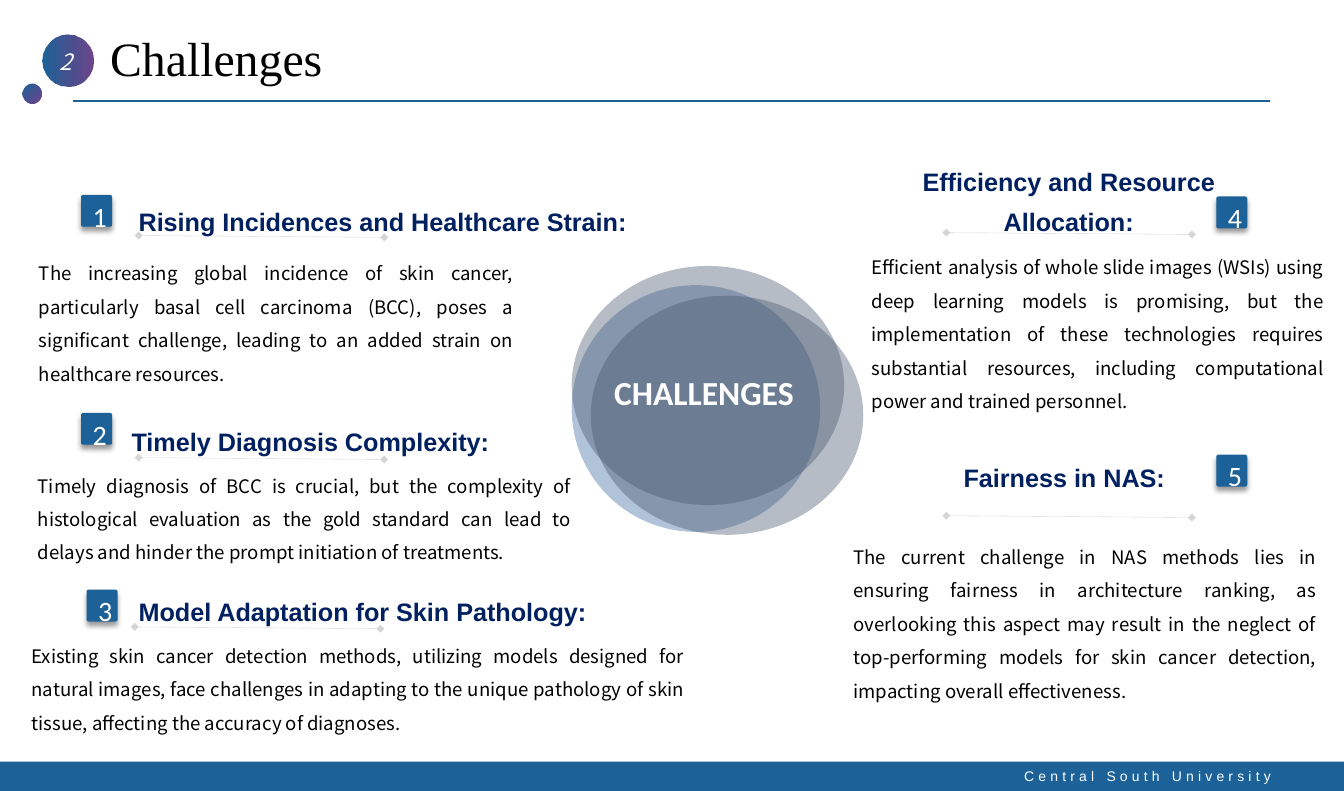
from lxml import etree
from pptx import Presentation
from pptx.dml.color import RGBColor
from pptx.enum.shapes import MSO_CONNECTOR, MSO_SHAPE
from pptx.enum.text import MSO_ANCHOR, PP_ALIGN
from pptx.oxml.ns import qn
from pptx.util import Pt

OVAL, RECT, ROUND = MSO_SHAPE.OVAL, MSO_SHAPE.RECTANGLE, MSO_SHAPE.ROUNDED_RECTANGLE
STRAIGHT = MSO_CONNECTOR.STRAIGHT
TOP, MID, LOW = MSO_ANCHOR.TOP, MSO_ANCHOR.MIDDLE, MSO_ANCHOR.BOTTOM
LEFT, MIDST, RIGHT, FULL = PP_ALIGN.LEFT, PP_ALIGN.CENTER, PP_ALIGN.RIGHT, PP_ALIGN.JUSTIFY

WIDTH, HEIGHT = 1012.32, 595.44
COLORS = {"blue": "1C6299", "plum": "5C307D", "navy": "002060", "steel": "35669B",
          "slate": "44546A", "grey": "808080", "black": "000000", "white": "FFFFFF"}
SANS, HEAD, DIGIT, SERIF = "Noto Sans CJK SC", "Arial", "Calibri", "Times New Roman"
BADGE = (22.4, 23)
RULE = (185, 1.4)

# number, badge spot, heading box, heading lines, heading align, rule spot, body box, body
TOPICS = [
    ("1", (61.6, 147.2), (96.5, 145.2, 386.6, 64), ["Rising Incidences and Healthcare Strain:"],
     LEFT, (104.4, 177.3), (22.3, 185.4, 371.5, 108.7),
     "The increasing global incidence of skin cancer, particularly basal cell carcinoma "
     "(BCC), poses a significant challenge, leading to an added strain on healthcare resources."),
    ("2", (61.6, 311.3), (91.2, 310.8, 287.3, 64), ["Timely Diagnosis Complexity:"],
     LEFT, (104.4, 344.5), (21.4, 345.2, 416.2, 80.6),
     "Timely diagnosis of BCC is crucial, but the complexity of histological evaluation as "
     "the gold standard can lead to delays and hinder the prompt initiation of treatments."),
    ("3", (65.7, 444.4), (96.5, 438.6, 356.4, 64), ["Model Adaptation for Skin Pathology:"],
     LEFT, (101.5, 471.9), (16.7, 473.4, 506.2, 83.5),
     "Existing skin cancer detection methods, utilizing models designed for natural images, "
     "face challenges in adapting to the unique pathology of skin tissue, affecting the "
     "accuracy of diagnoses."),
    ("4", (916.6, 148.4), (686.2, 115, 237.6, 94), ["Efficiency and Resource", "Allocation:"],
     MIDST, (712.8, 175.1), (649.4, 181, 355, 131.8),
     "Efficient analysis of whole slide images (WSIs) using deep learning models is "
     "promising, but the implementation of these technologies requires substantial "
     "resources, including computational power and trained personnel."),
    ("5", (916.6, 342.8), (717.4, 337.5, 168.5, 68), ["Fairness in NAS:"],
     MIDST, (712.8, 388.2), (635.8, 399, 362.9, 134.6),
     "The current challenge in NAS methods lies in ensuring fairness in architecture "
     "ranking, as overlooking this aspect may result in the neglect of top-performing "
     "models for skin cancer detection, impacting overall effectiveness."),
]


def rgb(name):
    return RGBColor.from_string(COLORS[name])


def fade(item, share):
    """Make the last colour of the item partly clear."""
    last = list(item._element.spPr.iter(qn("a:srgbClr")))[-1]
    etree.SubElement(last, qn("a:alpha"), val=str(share * 1000))


def write(item, lines, size, font, color, align=LEFT, gap=None, anchor=TOP,
          side=7.2, wrap=True, bold=False, slant=False, track=0):
    frame = item.text_frame
    frame.word_wrap = wrap
    frame.vertical_anchor = anchor
    frame.margin_left = frame.margin_right = Pt(side)
    frame.margin_top = frame.margin_bottom = Pt(3.6)
    for i, line in enumerate(lines):
        para = frame.add_paragraph() if i else frame.paragraphs[0]
        para.alignment = align
        if gap:
            para.line_spacing = gap
        run = para.add_run()
        run.text = line
        face = run.font
        face.name, face.size, face.bold, face.italic = font, Pt(size), bold, slant
        face.color.rgb = rgb(color)
        if track:
            run._r.get_or_add_rPr().set("spc", str(track))


def label(slide, box, lines, size, font, color, **style):
    item = slide.shapes.add_textbox(*map(Pt, box))
    write(item, lines, size, font, color, **style)


def block(slide, kind, box, color, share=None):
    item = slide.shapes.add_shape(kind, *map(Pt, box))
    item.shadow.inherit = False
    item.fill.solid()
    item.fill.fore_color.rgb = rgb(color)
    if share:
        fade(item, share)
    item.line.fill.background()
    return item


def ball(slide, box, angle):
    """Draw a dot that runs from blue to plum."""
    item = block(slide, OVAL, box, "blue")
    item.fill.gradient()
    item.fill.gradient_angle = angle
    for stop, name in zip(item.fill.gradient_stops, ("blue", "plum")):
        stop.color.rgb = rgb(name)
    fade(item, 90)


def stroke(slide, start, end, color, width):
    item = slide.shapes.add_connector(STRAIGHT, *map(Pt, start + end))
    item.line.color.rgb = rgb(color)
    item.line.width = Pt(width)
    etree.SubElement(item._element.spPr, qn("a:effectLst"))
    return item


def rule(slide, spot):
    """Draw a faint line with a diamond at each end."""
    end = (spot[0] + RULE[0], spot[1] + RULE[1])
    item = stroke(slide, spot, end, "grey", 0.25)
    fade(item, 33)
    line = item._element.spPr.find(qn("a:ln"))
    for tip in ("a:headEnd", "a:tailEnd"):
        etree.SubElement(line, qn(tip), type="diamond")


def badge(slide, spot, digit):
    item = block(slide, ROUND, spot + BADGE, "blue")
    item.adjustments[0] = 0.05
    item.line.color.rgb = rgb("blue")
    item.line.width = Pt(1)
    glow = item._element.spPr.find(qn("a:effectLst"))
    cast = etree.SubElement(glow, qn("a:outerShdw"), blurRad=str(Pt(4)), dist=str(Pt(3)),
                            dir="5400000", algn="t", rotWithShape="0")
    tint = etree.SubElement(cast, qn("a:srgbClr"), val=COLORS["black"])
    etree.SubElement(tint, qn("a:alpha"), val="40000")
    write(item, [digit], 21.1, DIGIT, "white", align=MIDST, gap=1.3, anchor=MID, side=7.9)


def topic(slide, digit, spot, top, lines, align, start, box, body):
    badge(slide, spot, digit)
    label(slide, top, lines, 19, HEAD, "navy", align=align, gap=1.3, side=7.9,
          wrap=False, bold=True)
    rule(slide, start)
    label(slide, box, [body], 14, SANS, "black", align=FULL, gap=1.5)


def header(slide):
    stroke(slide, (54.7, 76.3), (956.4, 76.3), "blue", 1.75)
    label(slide, (83, 1.4, 629.3, 67.7), ["Challenges"], 36, SERIF, "black",
          gap=0.9, anchor=LOW, side=0)
    ball(slide, (31.7, 26.4, 38.9, 38.9), 0)
    label(slide, (21.6, 32.4, 56.2, 27.4), ["2"], 16.9, SANS, "white",
          align=MIDST, slant=True)
    ball(slide, (16.6, 63.2, 14.4, 14.4), 310)


def footer(slide):
    block(slide, RECT, (0, 573.3, WIDTH, 23.8), "blue")
    label(slide, (758.9, 574.6, 205.9, 20.2), ["Central South University"], 10.5, HEAD,
          "white", align=RIGHT, wrap=False, track=320)


def hub(slide):
    """Draw the three circles in the middle and their title."""
    block(slide, OVAL, (430.6, 214.6, 187.2, 185.8), "steel", 39)
    for spot in ((430.6, 200.2), (445, 222.6)):
        block(slide, OVAL, spot + (205.2, 180), "slate", 39)
    label(slide, (420.4, 276.6, 219.6, 38.2), ["CHALLENGES"], 25.3, DIGIT, "white",
          align=MIDST, bold=True)


def main():
    deck = Presentation()
    deck.slide_width, deck.slide_height = Pt(WIDTH), Pt(HEIGHT)
    slide = deck.slides.add_slide(deck.slide_layouts[6])
    header(slide)
    footer(slide)
    hub(slide)
    for row in TOPICS:
        topic(slide, *row)
    deck.save("out.pptx")


if __name__ == "__main__":
    main()
